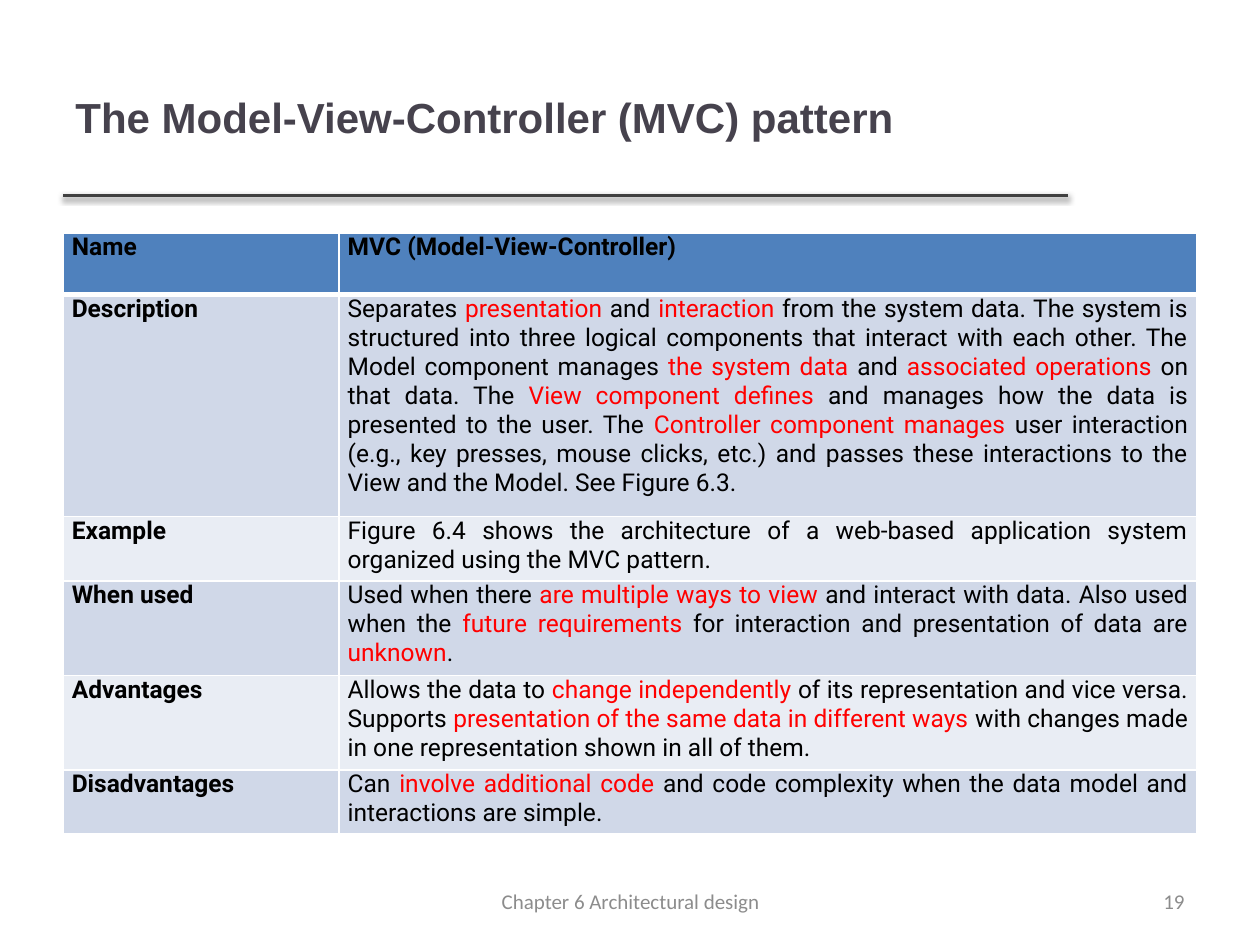
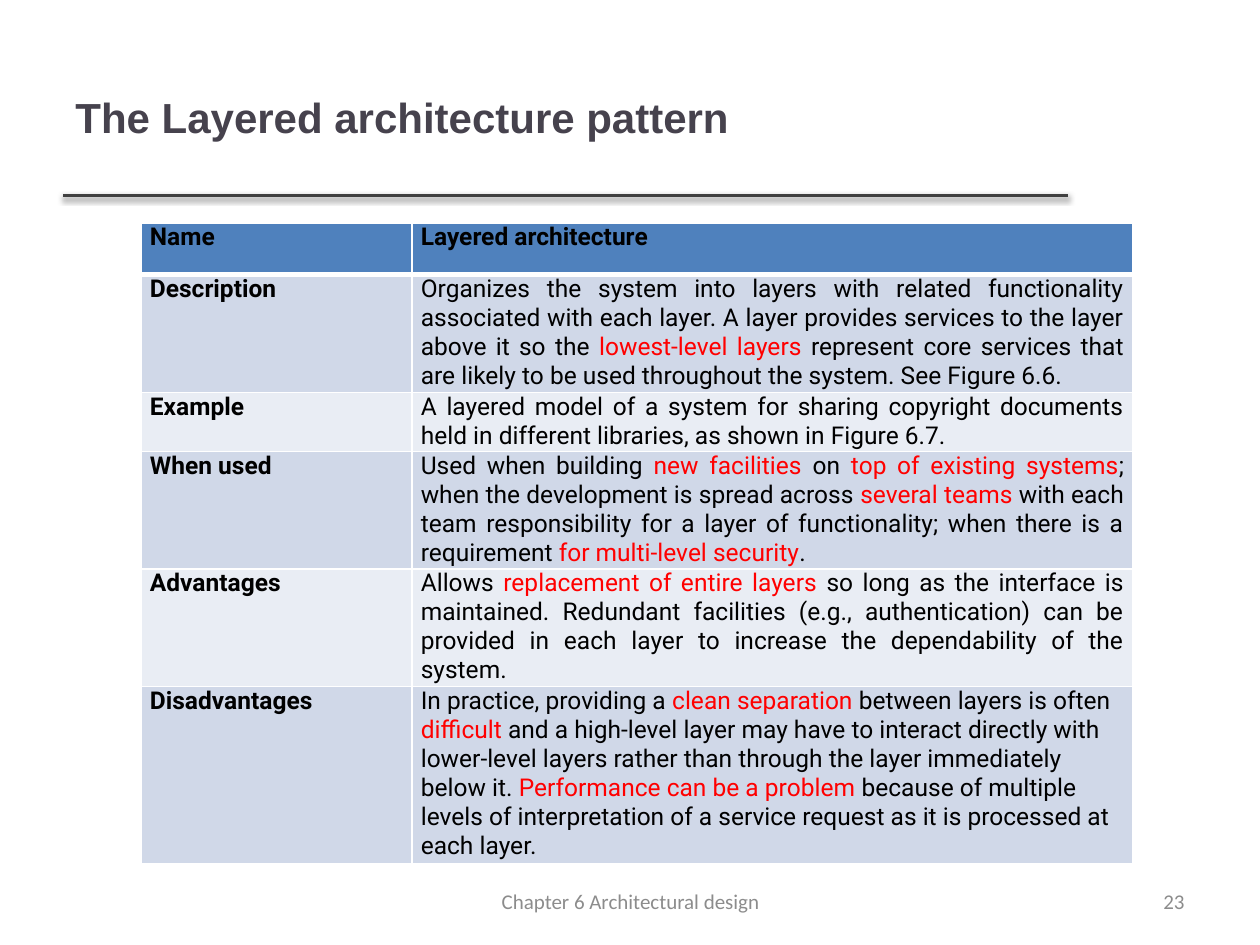
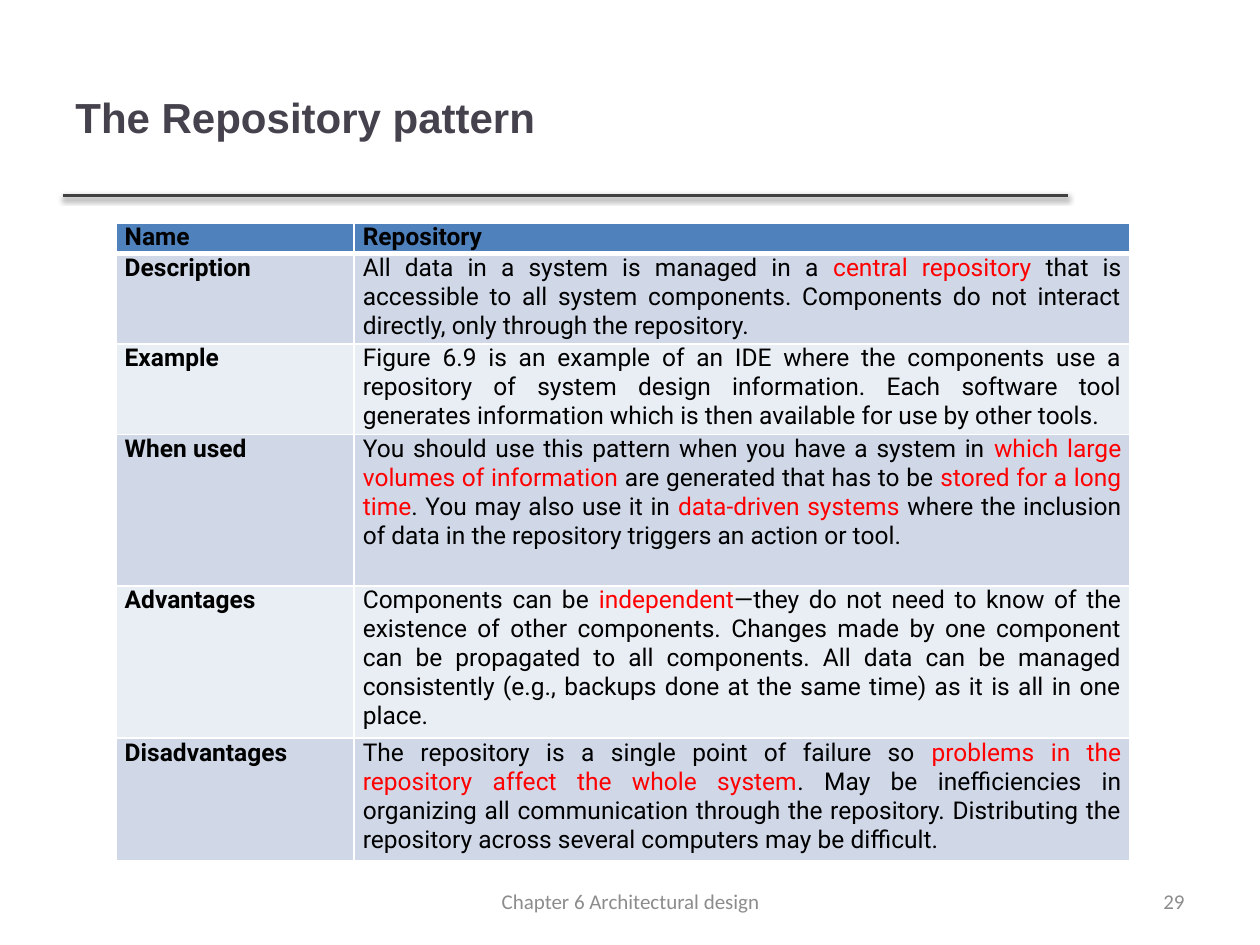
from lxml import etree
from pptx import Presentation
from pptx import util as u
from pptx.dml.color import RGBColor
from pptx.enum import shapes, text
from pptx.oxml import parse_xml
from pptx.oxml.ns import qn

BLACK, WHITE, RED = "000000", "FFFFFF", "FF0000"
TITLE_COLOUR, RULE_COLOUR, FOOTER_COLOUR = "46424D", "404040", "8C8C8C"
HEADER_FILL, BAND_FILLS = "4F81BD", ("E9EDF4", "D0D8E8")
ALIGN = text.PP_ALIGN
TITLE_BOX = (0.5, 0.3, 7.98, 1.25)
FOOTER_BOX = (3.42, 6.95, 3.17, 0.4)
NUMBER_BOX = (7.17, 6.95, 2.33, 0.4)
FOOTER = "Chapter 6 Architectural design"
ROW_LABELS = ("Name", "Description", "Example", "When used", "Advantages", "Disadvantages")
RULE_SHADOW = (
    '<a:effectLst xmlns:a="http://schemas.openxmlformats.org/drawingml/2006/main">'
    '<a:outerShdw blurRad="39370" dist="20320" dir="5400000" rotWithShape="0">'
    '<a:srgbClr val="000000"><a:alpha val="38000"/></a:srgbClr>'
    '</a:outerShdw></a:effectLst>')

# Asterisks enclose the highlighted words.
PATTERNS = [
    dict(
        title="The Model-View-Controller (MVC) pattern", number=19,
        corner=(0.5, 1.85), columns=(2.19, 6.81),
        rows=(0.49, 1.76, 0.51, 0.75, 0.75, 0.51),
        entries=(
            "MVC (Model-View-Controller)",
            "Separates *presentation* and *interaction* from the system data. The system is "
            "structured into three logical components that interact with each other. The Model "
            "component manages *the system data *and *associated operations *on that data. The "
            "*View component defines *and manages how the data is presented to the user. The "
            "*Controller component manages *user interaction (e.g., key presses, mouse clicks, "
            "etc.) and passes these interactions to the View and the Model. See Figure 6.3.",
            "Figure 6.4 shows the architecture of a web-based application system organized "
            "using the MVC pattern.",
            "Used when there *are multiple ways to view *and interact with data. Also used when "
            "the *future requirements *for interaction and presentation of data are *unknown*.",
            "Allows the data to *change independently *of its representation and vice versa. "
            "Supports *presentation of the same data in different ways *with changes made in "
            "one representation shown in all of them.",
            "Can *involve additional code *and code complexity when the data model and "
            "interactions are simple.",
        )),
    dict(
        title="The Layered architecture pattern", number=23,
        corner=(1.12, 1.77), columns=(2.15, 5.72),
        rows=(0.41, 0.92, 0.46, 0.92, 0.92, 1.37), last_align=ALIGN.LEFT,
        entries=(
            "Layered architecture",
            "Organizes the system into layers with related functionality associated with each "
            "layer. A layer provides services to the layer above it so the *lowest-level layers "
            "*represent core services that are likely to be used throughout the system. "
            "See Figure 6.6.",
            "A layered model of a system for sharing copyright documents held in different "
            "libraries, as shown in Figure 6.7.",
            "Used when building *new facilities *on *top of existing systems*; when the "
            "development is spread across *several teams *with each team responsibility for a "
            "layer of functionality; when there is a requirement *for multi-level security*.",
            "Allows *replacement of entire layers* so long as the interface is maintained. "
            "Redundant facilities (e.g., authentication) can be provided in each layer to "
            "increase the dependability of the system.",
            "In practice, providing a *clean separation *between layers is often *difficult "
            "*and a high-level layer may have to interact directly with lower-level layers "
            "rather than through the layer immediately below it. *Performance can be a problem "
            "*because of multiple levels of interpretation of a service request as it is "
            "processed at each layer.",
        )),
    dict(
        title="The Repository pattern", number=29,
        corner=(0.92, 1.77), columns=(1.89, 6.16),
        rows=(0.24, 0.72, 0.72, 1.2, 1.21, 0.97),
        entries=(
            "Repository",
            "All data in a system is managed in a *central repository* that is accessible to "
            "all system components. Components do not interact directly, only through the "
            "repository.",
            "Figure 6.9 is an example of an IDE where the components use a repository of system "
            "design information. Each software tool generates information which is then "
            "available for use by other tools.",
            "You should use this pattern when you have a system in *which large volumes of "
            "information *are generated that has to be *stored for a long time*. You may also "
            "use it in *data-driven systems *where the inclusion of data in the repository "
            "triggers an action or tool.",
            "Components can be *independent*—they do not need to know of the existence of other "
            "components. Changes made by one component can be propagated to all components. All "
            "data can be managed consistently (e.g., backups done at the same time) as it is "
            "all in one place.",
            "The repository is a single point of failure so *problems in the repository affect "
            "the whole system*. May be inefficiencies in organizing all communication through "
            "the repository. Distributing the repository across several computers may be "
            "difficult.",
        )),
]


def colour(hex_value):
    return RGBColor.from_string(hex_value)


def style(paragraph, font_name, size, hex_value, align, bold=False):
    paragraph.alignment = align
    font = paragraph.font
    font.name, font.size, font.bold = font_name, u.Pt(size), bold
    font.color.rgb = colour(hex_value)


def add_label(slide, box, words, *look):
    frame = slide.shapes.add_textbox(*map(u.Inches, box)).text_frame
    frame.word_wrap = True
    frame.vertical_anchor = text.MSO_ANCHOR.MIDDLE
    frame.text = words
    style(frame.paragraphs[0], *look)


def add_frame(slide, title, number):
    """Title with its rule, and the footer line."""
    left, top, width, height = TITLE_BOX
    bottom = u.Inches(top + height)
    rule = slide.shapes.add_connector(
        shapes.MSO_CONNECTOR.STRAIGHT, u.Inches(left), bottom, u.Inches(left + width), bottom)
    rule.line.color.rgb = colour(RULE_COLOUR)
    rule.line.width = u.Pt(2)
    rule._element.spPr.append(parse_xml(RULE_SHADOW))
    add_label(slide, TITLE_BOX, title, "Arial", 24, TITLE_COLOUR, ALIGN.LEFT, True)
    add_label(slide, FOOTER_BOX, FOOTER, "Calibri", 12, FOOTER_COLOUR, ALIGN.CENTER)
    add_label(slide, NUMBER_BOX, str(number), "Calibri", 12, FOOTER_COLOUR, ALIGN.RIGHT)


def set_borders(cell, top, bottom):
    properties = cell._tc.get_or_add_tcPr()
    for side, points in (("L", 1), ("R", 1), ("T", top), ("B", bottom)):
        edge = etree.SubElement(properties, qn(f"a:ln{side}"), w=str(u.Pt(points)))
        fill = etree.SubElement(edge, qn("a:solidFill"))
        etree.SubElement(fill, qn("a:srgbClr"), val=WHITE)


def fill_cell(cell, row, words, bold, align):
    set_borders(cell, top=3 if row == 1 else 1, bottom=3 if row == 0 else 1)
    cell.fill.solid()
    cell.fill.fore_color.rgb = colour(BAND_FILLS[row % 2] if row else HEADER_FILL)
    cell.margin_left = cell.margin_right = u.Inches(0.07)
    cell.margin_top = cell.margin_bottom = 0
    paragraph = cell.text_frame.paragraphs[0]
    style(paragraph, "Roboto", 14, BLACK, align, bold)
    for i, part in enumerate(words.split("*")):
        run = paragraph.add_run()
        run.text = part
        if i % 2:
            run.font.color.rgb = colour(RED)


def add_pattern_table(slide, corner, columns, rows, entries, last_align=ALIGN.JUSTIFY):
    box = (*corner, sum(columns), sum(rows))
    table = slide.shapes.add_table(len(rows), len(columns), *map(u.Inches, box)).table
    table.first_row = table.horz_banding = False
    for column, width in zip(table.columns, columns):
        column.width = u.Inches(width)
    for row, (height, label, entry) in enumerate(zip(rows, ROW_LABELS, entries)):
        table.rows[row].height = u.Inches(height)
        align = last_align if row == len(rows) - 1 else ALIGN.JUSTIFY
        fill_cell(table.cell(row, 0), row, label, True, ALIGN.JUSTIFY)
        fill_cell(table.cell(row, 1), row, entry, row == 0, align)


def add_pattern_slide(deck, title, number, **table_parts):
    slide = deck.slides.add_slide(deck.slide_layouts[6])
    add_frame(slide, title, number)
    add_pattern_table(slide, **table_parts)


def main():
    deck = Presentation()
    deck.slide_width, deck.slide_height = u.Inches(10), u.Inches(7.5)
    for pattern in PATTERNS:
        add_pattern_slide(deck, **pattern)
    deck.save("out.pptx")


if __name__ == "__main__":
    main()
